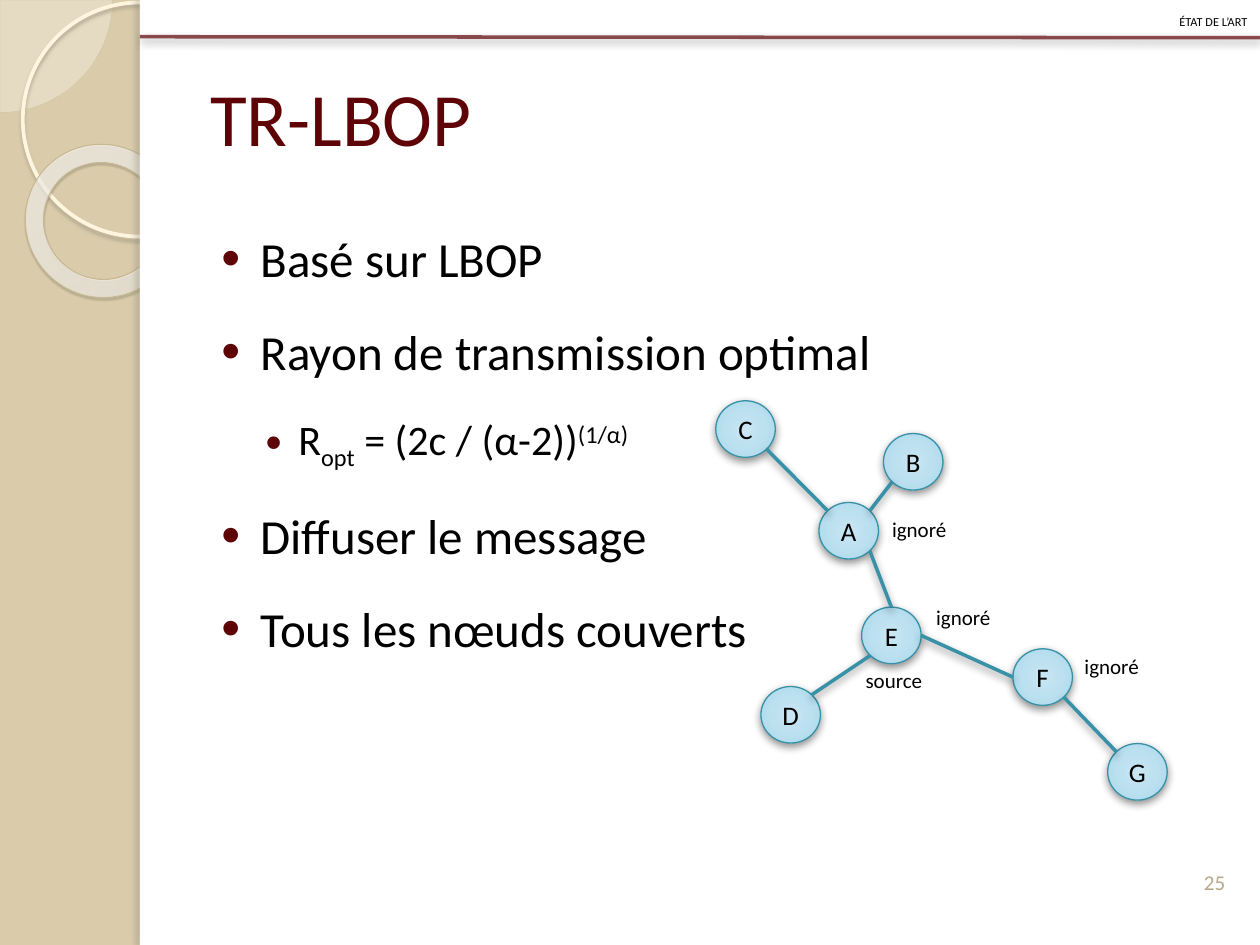
from lxml import etree
from pptx import Presentation
from pptx.dml.color import RGBColor
from pptx.enum import shapes, text
from pptx.oxml import parse_xml
from pptx.oxml.ns import nsdecls, qn
from pptx.util import Cm, Pt

MAROON, TEAL, BLACK, WHITE = "5F0406", "3891A7", "000000", "FFFFFF"
SOFT_SHADOW = (BLACK, 43, 5, 2, 90)  # colour, opacity %, blur pt, distance pt, angle
SHAPE = shapes.MSO_SHAPE
ALIGN = text.PP_ALIGN
ANCHOR = text.MSO_ANCHOR


def rgb(value):
    return RGBColor.from_string(value)


def sub(parent, tag, **attrs):
    return etree.SubElement(parent, qn(tag), {k: str(v) for k, v in attrs.items()})


def set_alpha(fill, percent):
    color = fill._xPr.find(qn("a:solidFill"))[0]
    sub(color, "a:alpha", val=percent * 1000)


def set_shadow(sp, shadow=None):
    effects = sub(sp._element.spPr, "a:effectLst")
    if shadow:
        color, opacity, blur, dist, angle = shadow
        outer = sub(effects, "a:outerShdw", blurRad=Pt(blur), dist=Pt(dist),
                    dir=angle * 60000, algn="tl", rotWithShape=0)
        sub(sub(outer, "a:srgbClr", val=color), "a:alpha", val=opacity * 1000)


def radial_fill(sp, stops, focus):
    """Stops are (position, colour, opacity) and focus is l, t, r, b, in percent."""
    grad = parse_xml(f'<a:gradFill {nsdecls("a")} rotWithShape="1"/>')
    stop_list = sub(grad, "a:gsLst")
    for pos, color, opacity in stops:
        stop = sub(stop_list, "a:gs", pos=pos * 1000)
        sub(sub(stop, "a:srgbClr", val=color), "a:alpha", val=opacity * 1000)
    path = sub(grad, "a:path", path="circle")
    sub(path, "a:fillToRect", **{k: v * 1000 for k, v in zip("ltrb", focus)})
    sp._element.spPr.find(qn("a:prstGeom")).addnext(grad)


def add_shape(slide, kind, box, fill=None, line=None, width=0, shadow=None):
    sp = slide.shapes.add_shape(kind, *map(Cm, box))
    if fill:
        sp.fill.solid()
        sp.fill.fore_color.rgb = rgb(fill)
    if line:
        sp.line.color.rgb = rgb(line)
        sp.line.width = Pt(width)
    else:
        sp.line.fill.background()
    set_shadow(sp, shadow)
    return sp


def add_line(slide, start, end, color):
    cxn = slide.shapes.add_connector(shapes.MSO_CONNECTOR.STRAIGHT,
                                     *map(Cm, (*start, *end)))
    cxn.line.color.rgb = rgb(color)
    cxn.line.width = Pt(2)
    set_shadow(cxn, SOFT_SHADOW)
    return cxn


def style(p, size, color=BLACK, align=None):
    p.font.name, p.font.size, p.font.color.rgb = "Calibri", Pt(size), rgb(color)
    p.alignment = align


def add_text(slide, box, words, size, color=BLACK, align=None, anchor=ANCHOR.TOP, wrap=True):
    tf = slide.shapes.add_textbox(*map(Cm, box)).text_frame
    tf.word_wrap, tf.vertical_anchor = wrap, anchor
    p = tf.paragraphs[0]
    p.add_run().text = words
    style(p, size, color, align)
    return p


def move_placeholder(slide, sp, box):
    sp.left, sp.top, sp.width, sp.height = map(Cm, box)
    slide.shapes._spTree.append(sp._element)  # bring in front of the decoration
    tf = sp.text_frame
    tf.auto_size = text.MSO_AUTO_SIZE.NONE
    return tf


def add_decoration(slide, band, width, height):
    """Ornamented band at the left, white page and top rule."""
    slide.background.fill.solid()
    slide.background.fill.fore_color.rgb = rgb("DACCAB")

    # Quarter disc centred on the corner
    r = 2.27
    pie = add_shape(slide, SHAPE.PIE, (-r, -r, 2 * r, 2 * r), "FEFAF4", "D3C39F", 0.25)
    pie.adjustments[0], pie.adjustments[1] = 0, 54
    set_alpha(pie.fill, 33)

    # Rings
    ring = add_shape(slide, SHAPE.OVAL, (0.46, 0.05, 4.72, 4.72), None, "FFF5DE", 2.15,
                     ("B0A68F", 85, 2, 2, 90))
    ring.fill.background()
    donut = add_shape(slide, SHAPE.DONUT, (0.5, 2.92, 3.12, 3.07), None, "C7B893", 0.58,
                      ("5A5444", 35, 1, 1.2, 75))
    donut.adjustments[0] = 0.12
    donut.rotation = 38.6
    radial_fill(donut, [(0, "FFFCF6", 70), (70, "FFFEFB", 55), (100, "F0D28E", 60)],
                (-408, -50, 508, 150))

    # White page with a shaded edge
    add_shape(slide, SHAPE.RECTANGLE, (band, 0, width - band, height), WHITE)
    add_shape(slide, SHAPE.RECTANGLE, (band, 0, 0.2, height), WHITE,
              shadow=("736F63", 25, 3, 3, 180))
    rule = add_line(slide, (band, 0.74), (width, 0.76), MAROON)
    set_alpha(rule.line.fill, 70)


def add_bullets(slide, box, items):
    """Items are (level, runs); each run is (words, baseline percent)."""
    tf = move_placeholder(slide, slide.placeholders[1], box)
    indents = [(1.02, 0.79), (1.78, 0.66)]
    for i, (level, runs) in enumerate(items):
        p = tf.paragraphs[0] if i == 0 else tf.add_paragraph()
        p.level, p.line_spacing = level, 1.4
        p.space_before = Pt(6 if i else 0)
        margin, hang = indents[level]
        pPr = p._p.get_or_add_pPr()
        pPr.set("marL", str(Cm(margin)))
        pPr.set("indent", str(-Cm(hang)))
        sub(sub(pPr, "a:buClr"), "a:srgbClr", val=MAROON)
        sub(pPr, "a:buSzPct", val=110000)
        sub(pPr, "a:buFont", typeface="Arial")
        sub(pPr, "a:buChar", char="•")
        for words, baseline in runs:
            r = p.add_run()
            r.text = words
            if baseline:
                r._r.get_or_add_rPr().set("baseline", str(baseline * 1000))
        style(p, (28, 24)[level])


def add_network(slide, left, top):
    """Graph of nodes, placed relative to the top left corner of its box."""
    w, h = 1.2, 1.14
    nodes = {"A": (2.08, 2.05), "B": (3.38, 0.66), "C": (0, 0), "D": (0.91, 5.76),
             "E": (2.94, 4.16), "F": (5.99, 5), "G": (7.9, 6.91)}
    for name, (x, y) in nodes.items():
        sp = add_shape(slide, SHAPE.OVAL, (left + x, top + y, w, h), None, TEAL, 0.75,
                       SOFT_SHADOW)
        radial_fill(sp, [(0, "C9E6F2", 100), (50, "BBE0EF", 100), (97, "A4D8ED", 100),
                         (100, "9BD7EE", 100)], (50, 50, 50, 50))
        sp.text_frame.word_wrap = False
        sp.text_frame.vertical_anchor = ANCHOR.MIDDLE
        p = sp.text_frame.paragraphs[0]
        p.add_run().text = name
        style(p, 15.3, align=ALIGN.CENTER)

    # Links run between points on the rims, given as directions from the centres
    def rim(name, dx, dy):
        x, y = nodes[name]
        reach = 0.5 / (dx * dx + dy * dy) ** 0.5
        return left + x + w * (0.5 + dx * reach), top + y + h * (0.5 + dy * reach)

    links = [("C", 1, 1, "A", -1, -1), ("A", 1, -1, "B", -1, 1), ("A", 1, 1, "E", 0, -1),
             ("D", 1, -1, "E", -1, 1), ("E", 1, 0, "F", -1, 0), ("F", 1, 1, "G", -1, -1)]
    for link in links:
        add_line(slide, rim(*link[:3]), rim(*link[3:]), TEAL)

    # Labels beside the nodes, wide enough for one line
    for words, x, y in [("ignoré", 4.09, 3.99), ("source", 2.69, 5.26),
                        ("ignoré", 7.08, 4.98), ("ignoré", 3.2, 2.21)]:
        add_text(slide, (left + x, top + y, 1.8, 0.76), words, 12, align=ALIGN.CENTER,
                 wrap=False)


def main():
    prs = Presentation()
    prs.slide_width, prs.slide_height = Cm(25.4), Cm(19.05)
    slide = prs.slides.add_slide(prs.slide_layouts[1])
    add_decoration(slide, 2.82, 25.4, 19.05)

    # Running header and page number
    p = add_text(slide, (0, 0, 25.4, 0.74), "état de l’art", 8.8, align=ALIGN.RIGHT,
                 anchor=ANCHOR.MIDDLE)
    p.line_spacing = 1.2
    p.runs[0]._r.get_or_add_rPr().set("cap", "small")
    add_text(slide, (23.85, 16.84, 1.27, 1.32), "25", 12, "B6A98A", ALIGN.CENTER,
             ANCHOR.BOTTOM)

    # Title and list
    tf = move_placeholder(slide, slide.shapes.title, (3.98, 0.76, 20.83, 3.18))
    tf.vertical_anchor = ANCHOR.MIDDLE
    tf.paragraphs[0].add_run().text = "TR-LBOP"
    style(tf.paragraphs[0], 43, MAROON, ALIGN.LEFT)
    add_bullets(slide, (3.98, 4.01, 20.83, 13.34), [
        (0, [("Basé sur LBOP", 0)]),
        (0, [("Rayon de transmission optimal", 0)]),
        (1, [("R", 0), ("opt", -25), (" = (2c / (α-2))", 0), ("(1/α)", 30)]),
        (0, [("Diffuser le message", 0)]),
        (0, [("Tous les nœuds couverts", 0)]),
    ])

    add_network(slide, 14.43, 8.08)
    prs.save("out.pptx")


if __name__ == "__main__":
    main()
